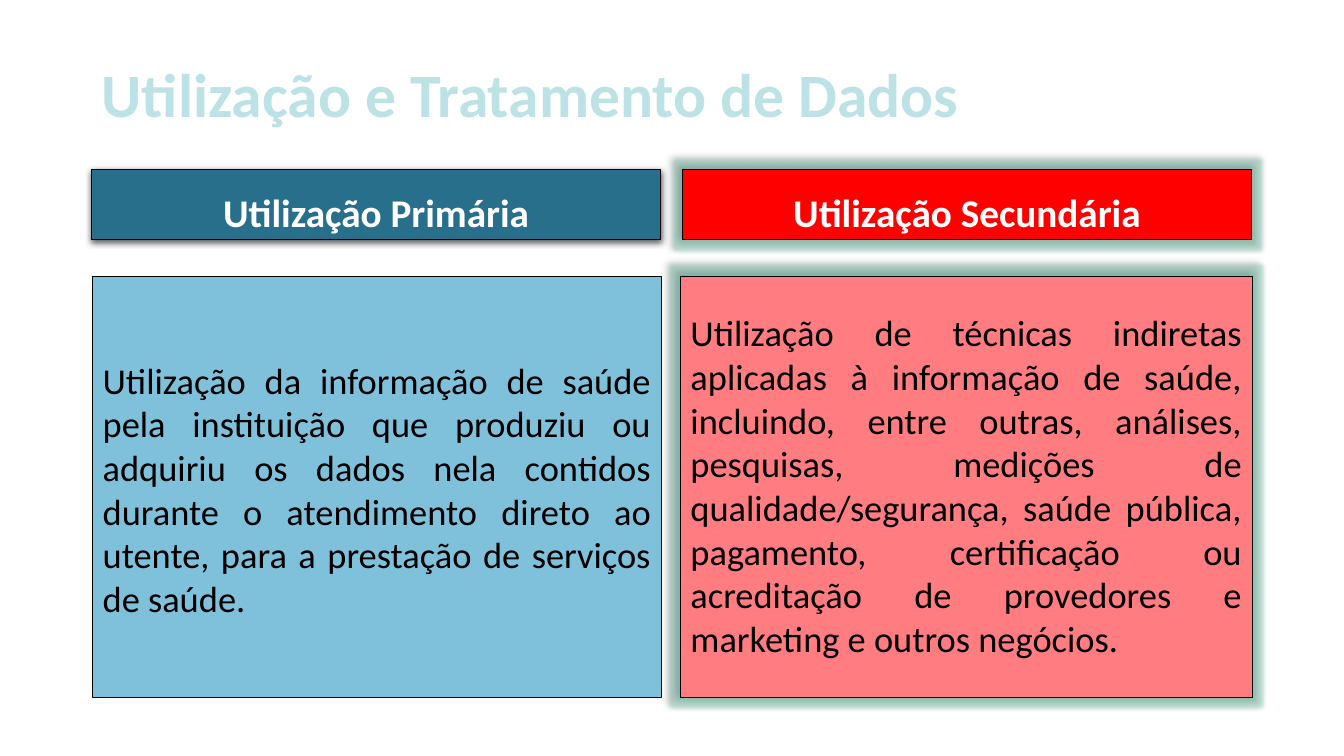
from dataclasses import dataclass

from lxml import etree
from pptx import Presentation
from pptx import util as u
from pptx.dml.color import RGBColor
from pptx.enum import shapes, text
from pptx.oxml import ns

PX = 9144  # EMU: 100 px to the inch


@dataclass(frozen=True)
class Theme:
    font: str = "Calibri"
    title_size: int = 44
    heading_size: int = 28
    body_size: int = 26
    title: str = "BCE2E6"
    title_outline: str = "58B6C0"
    white: str = "FFFFFF"
    black: str = "000000"
    glow: str = "75BDA7"
    primary: str = "276F8B"
    primary_light: str = "7FC1DB"
    secondary: str = "FF0000"
    secondary_light: str = "FF7C80"


def add_node(parent, tag, **attributes):
    return etree.SubElement(parent, ns.qn(tag), {k: str(v) for k, v in attributes.items()})


def add_color(parent, color, opacity=100):
    node = add_node(parent, "a:srgbClr", val=color)
    if opacity < 100:
        add_node(node, "a:alpha", val=opacity * 1000)


class Deck:
    def __init__(self, theme):
        self.theme = theme
        self.presentation = Presentation()
        self.presentation.slide_width = 1333 * PX
        self.presentation.slide_height = 750 * PX
        self.slide = self.presentation.slides.add_slide(self.presentation.slide_layouts[5])

    def set_words(self, frame, words, size, color, bold, align, anchor):
        frame.text = words
        frame.word_wrap = True
        frame.auto_size = text.MSO_AUTO_SIZE.NONE
        frame.vertical_anchor = anchor
        paragraph = frame.paragraphs[0]
        paragraph.alignment = align
        font = paragraph.runs[0].font
        font.name, font.size, font.bold = self.theme.font, u.Pt(size), bold
        font.color.rgb = RGBColor.from_string(color)
        return paragraph.runs[0]

    def title(self, words, left, top, width, height):
        heading = self.slide.shapes.title
        heading.left, heading.top = left * PX, top * PX
        heading.width, heading.height = width * PX, height * PX
        run = self.set_words(heading.text_frame, words, self.theme.title_size, self.theme.title,
                             True, text.PP_ALIGN.JUSTIFY, text.MSO_ANCHOR.MIDDLE)
        properties = run._r.get_or_add_rPr()
        outline = etree.Element(ns.qn("a:ln"), w=str(u.Pt(1.75)))
        add_color(add_node(outline, "a:solidFill"), self.theme.title_outline)
        properties.insert(0, outline)

    def panel(self, box, fill, line_width):
        panel = self.slide.shapes.add_shape(shapes.MSO_SHAPE.RECTANGLE, *(n * PX for n in box))
        panel.shadow.inherit = False
        panel.fill.solid()
        panel.fill.fore_color.rgb = RGBColor.from_string(fill)
        panel.line.color.rgb = RGBColor.from_string(self.theme.black)
        panel.line.width = u.Pt(line_width)
        return panel

    def heading(self, words, box, fill):
        panel = self.panel(box, fill, 0.75)
        self.set_words(panel.text_frame, words, self.theme.heading_size, self.theme.white,
                       True, text.PP_ALIGN.CENTER, text.MSO_ANCHOR.BOTTOM)
        return panel

    def body(self, words, box, fill, inset):
        panel = self.panel(box, fill, 0.5)
        self.set_words(panel.text_frame, words, self.theme.body_size, self.theme.black,
                       False, text.PP_ALIGN.JUSTIFY, text.MSO_ANCHOR.TOP)
        panel.text_frame.margin_top = inset * PX
        return panel

    def effects(self, panel, opacity, blur, distance, angle, glow=False):
        """Give the panel an outer shadow and, if asked, a soft glow."""
        effect_list = panel._element.spPr.find(ns.qn("a:effectLst"))
        if glow:
            add_color(add_node(effect_list, "a:glow", rad=u.Pt(5)), self.theme.glow, 40)
        shadow = add_node(effect_list, "a:outerShdw", blurRad=u.Pt(blur), dist=u.Pt(distance),
                          dir=angle * 60000, rotWithShape=0)
        add_color(shadow, self.theme.black, opacity)


def main():
    theme = Theme()
    deck = Deck(theme)
    deck.title("Utilização e Tratamento de Dados", 91, 30, 1150, 125)

    primary = deck.heading("Utilização Primária", (91, 168, 564, 70), theme.primary)
    deck.effects(primary, 63, 4.5, 1.5, 90)
    deck.body("Utilização da informação de saúde pela instituição que produziu ou adquiriu "
              "os dados nela contidos durante o atendimento direto ao utente, para a "
              "prestação de serviços de saúde.",
              (92, 274, 564, 418), theme.primary_light, 81)

    secondary = deck.heading("Utilização Secundária", (677, 168, 564, 70), theme.secondary)
    techniques = deck.body(
        "Utilização de técnicas indiretas aplicadas à informação de saúde, incluindo, entre "
        "outras, análises, pesquisas, medições de qualidade/segurança, saúde pública, "
        "pagamento, certiﬁcação ou acreditação de provedores e marketing e outros negócios.",
        (675, 274, 567, 418), theme.secondary_light, 34)
    for panel in (secondary, techniques):
        deck.effects(panel, 40, 4, 3, 225, glow=True)

    deck.presentation.save("out.pptx")


if __name__ == "__main__":
    main()
